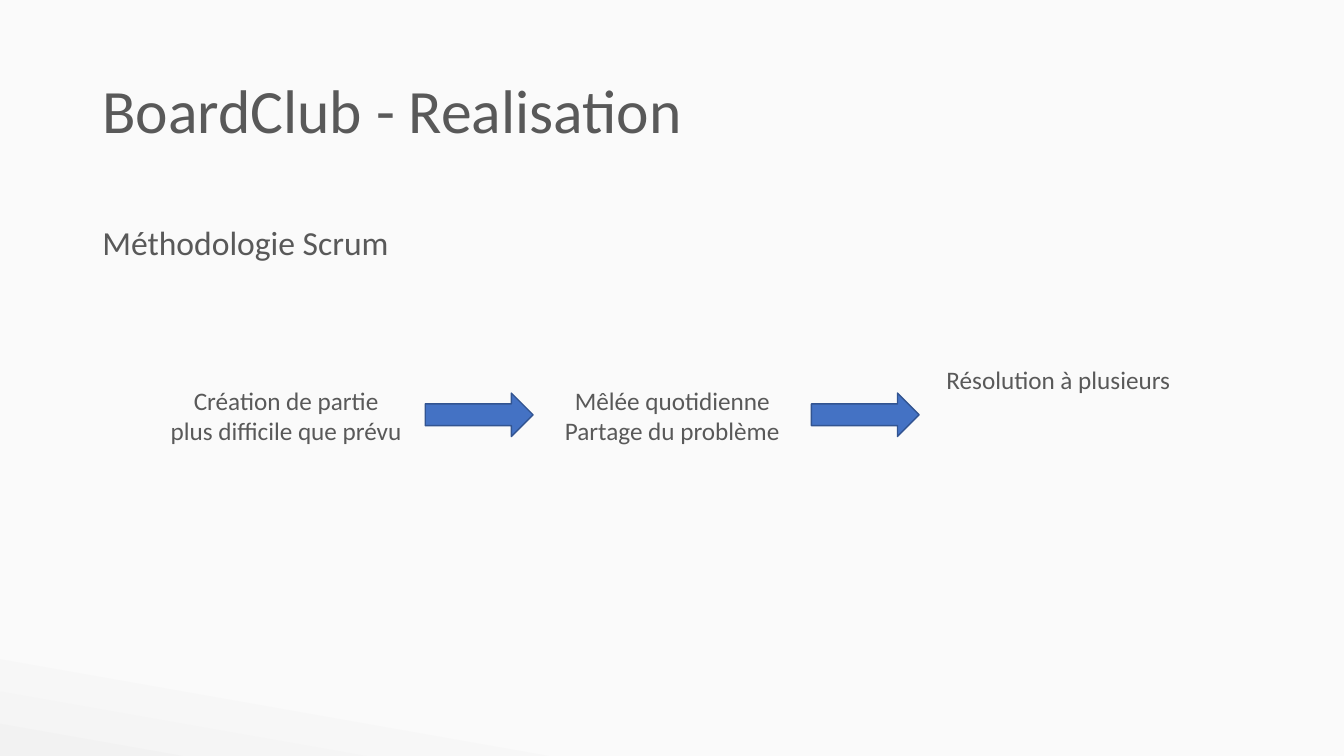
from pptx import Presentation
from pptx.dml.color import RGBColor
from pptx.enum.shapes import MSO_SHAPE
from pptx.enum.text import MSO_ANCHOR, PP_ALIGN
from pptx.util import Pt

ARROW = MSO_SHAPE.RIGHT_ARROW
TOP, MIDDLE = MSO_ANCHOR.TOP, MSO_ANCHOR.MIDDLE
LEFT, CENTER = PP_ALIGN.LEFT, PP_ALIGN.CENTER
FONT = "Calibri"
GREY, BLUE, DARK_BLUE = "595959", "4472C4", "325491"
STEPS = [
    (["Création de partie", "plus difficile que prévu"], 14.4),
    (["Mêlée quotidienne", "Partage du problème"], 14.4),
    (["Résolution à plusieurs"], 0),
]


def color(value):
    """Turn a hex string into a colour."""
    return RGBColor.from_string(value)


def add_background(page):
    """Fill the page with a pale gradient that darkens at the lower left."""
    fill = page.background.fill
    fill.gradient()
    fill.gradient_angle = 260
    for stop, (position, shade) in zip(fill.gradient_stops, [(0.87, "FAFAFA"), (1, "F2F2F2")]):
        stop.position = position
        stop.color.rgb = color(shade)


def add_text(page, box, lines, size, align=LEFT, anchor=TOP, spacing=1.0):
    """Write one paragraph per line in the given box."""
    frame = page.shapes.add_textbox(*map(Pt, box)).text_frame
    frame.word_wrap = True
    frame.vertical_anchor = anchor
    frame.text = "\n".join(lines)
    for para in frame.paragraphs:
        para.alignment = align
        para.line_spacing = spacing
        para.font.name = FONT
        para.font.size = Pt(size)
        para.font.color.rgb = color(GREY)


def add_arrow(page, box):
    """Draw a blue block arrow in the given box."""
    arrow = page.shapes.add_shape(ARROW, *map(Pt, box))
    arrow.shadow.inherit = False
    arrow.fill.solid()
    arrow.fill.fore_color.rgb = color(BLUE)
    arrow.line.color.rgb = color(DARK_BLUE)
    arrow.line.width = Pt(1)


def add_heading(page, box):
    """Place the title and, below it, the subtitle."""
    left, top, width, height = box
    add_text(page, box, ["BoardClub - Realisation"], 44, anchor=MIDDLE, spacing=0.9)
    add_text(page, (left, top + height + 21.6, 325, 36), ["Méthodologie Scrum"], 24)


def add_process(page, box):
    """Lay out the steps from left to right with an arrow between neighbours."""
    left, top, width, height = box
    arrow_width, arrow_height = 77, 31
    count = len(STEPS)
    step_width = (width - (count - 1) * arrow_width) / count
    for index, (lines, drop) in enumerate(STEPS):
        step_left = left + index * (step_width + arrow_width)
        step_height = 7.2 + 22 * len(lines)
        add_text(page, (step_left, top + drop, step_width, step_height), lines, 18, CENTER)
        if index < count - 1:
            arrow_top = top + (height - arrow_height) / 2
            add_arrow(page, (step_left + step_width, arrow_top, arrow_width, arrow_height))


def main():
    """Build the slide and save the deck."""
    deck = Presentation()
    deck.slide_width, deck.slide_height = Pt(960), Pt(540)
    page = deck.slides.add_slide(deck.slide_layouts[6])
    add_background(page)
    add_heading(page, (66, 28.8, 828, 104.4))
    add_process(page, (105, 257, 750.4, 78.6))
    deck.save("out.pptx")


if __name__ == "__main__":
    main()
